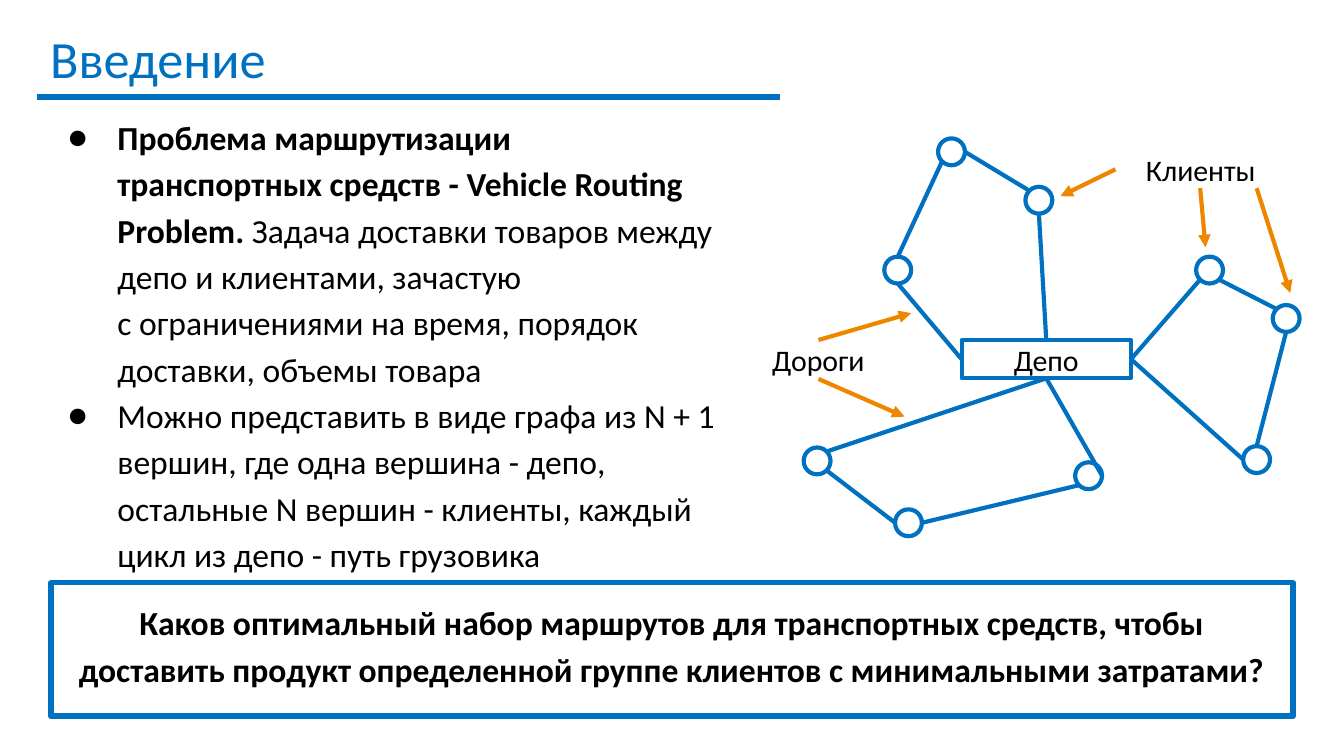
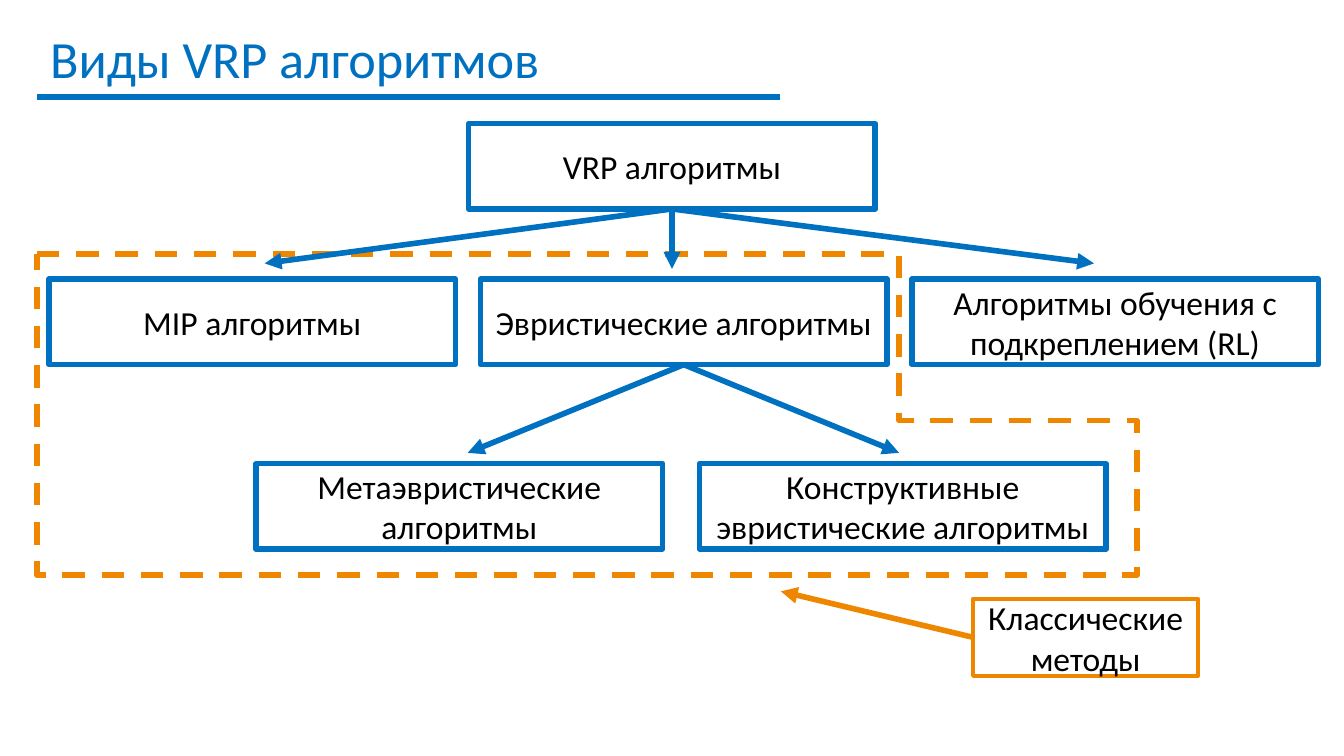
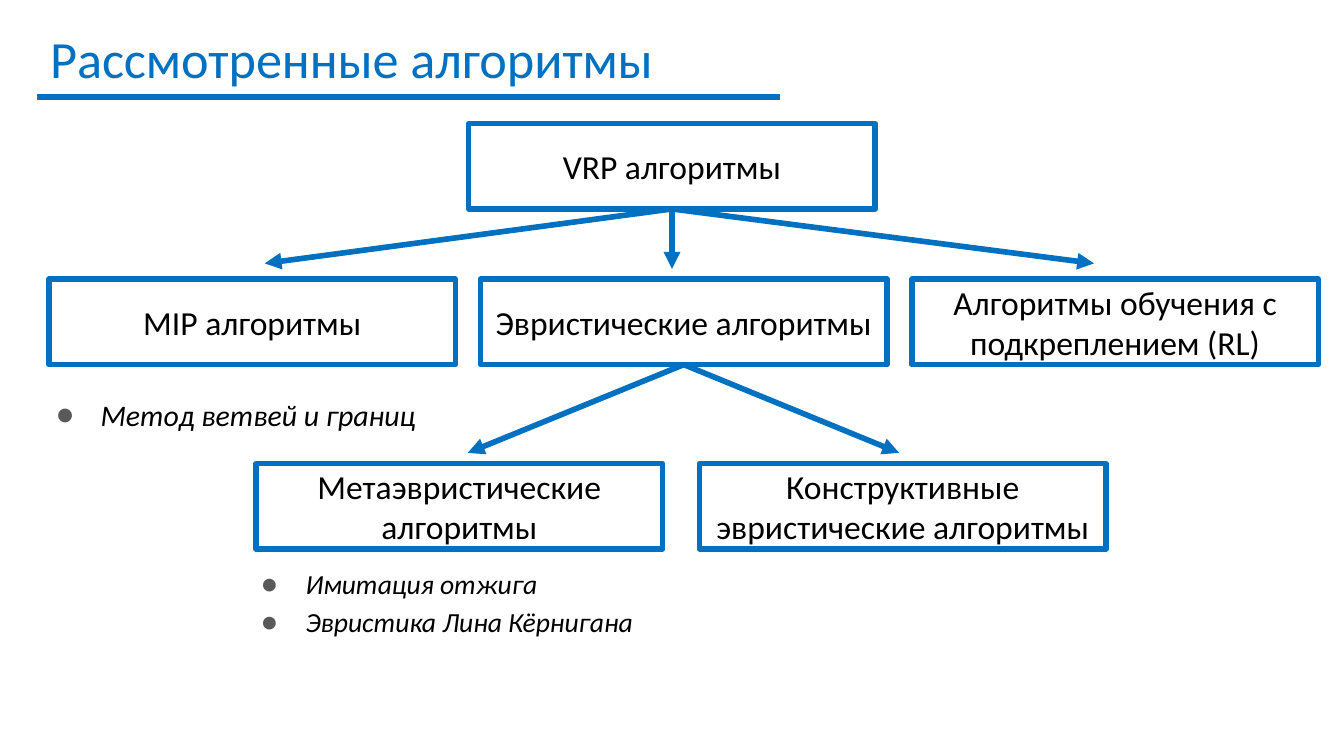
from lxml.etree import SubElement
from pptx import Presentation
from pptx.dml.color import RGBColor
from pptx.enum.dml import MSO_LINE
from pptx.enum.lang import MSO_LANGUAGE_ID as Language
from pptx.enum.shapes import MSO_CONNECTOR, MSO_SHAPE
from pptx.enum.text import MSO_ANCHOR as Anchor, PP_ALIGN as Align
from pptx.oxml.ns import qn
from pptx.util import Inches, Pt

COLUMNS, ROWS = 100, 56.25
CELL = Inches(10) / COLUMNS
FONT = "Calibri"
HARD_SPACE = chr(160)
BLUE, ORANGE, BLACK, WHITE, GRAY = "0070C0", "EF8600", "000000", "FFFFFF", "595959"
TOP, LEFT, BOTTOM, RIGHT = range(4)
MARGIN = 2.75
BOX_SIZE = (30.25, 6.35)
LABEL_SIZE = (12.6, 2.85)
RADIUS = 1
DIAGONAL = 0.7

CLIENTS = {
    "A": (66.8, 20.1), "B": (70.8, 11.3), "C": (77.3, 14.9),
    "D": (60.8, 34.3), "E": (67.6, 38.9), "F": (81, 35.4),
    "G": (90, 20.1), "H": (95.7, 23.7), "I": (93.5, 34.2),
}
COMPASS = {
    "n": (0, -1), "s": (0, 1), "w": (-1, 0), "e": (1, 0),
    "nw": (-DIAGONAL, -DIAGONAL), "ne": (DIAGONAL, -DIAGONAL),
    "sw": (-DIAGONAL, DIAGONAL), "se": (DIAGONAL, DIAGONAL),
}
DEPOT_ROADS = [
    (TOP, "C", "s"), (LEFT, "A", "s"), (BOTTOM, "D", "ne"),
    (BOTTOM, "F", "e"), (RIGHT, "G", "sw"), (RIGHT, "I", "w"),
]
CLIENT_ROADS = [
    ("A", "n", "B", "sw"), ("C", "nw", "B", "e"), ("E", "w", "D", "se"),
    ("F", "sw", "E", "e"), ("H", "nw", "G", "se"), ("H", "s", "I", "n"),
]
POINTERS = [
    ((83, 12.6), (78.9, 14.6)), ((89.3, 14), (89.7, 18.4)),
    ((93.5, 14), (96, 21.8)), ((60.9, 25.3), (67.8, 23.3)),
    ((60.9, 28.2), (67.3, 31)),
]
CLASSIC_OUTLINE = [(MARGIN, 18.9), (66.9, 18.9), (66.9, 31.3),
                   (84.6, 31.3), (84.6, 42.8), (MARGIN, 42.8)]


def rgb(color):
    return RGBColor.from_string(color)


def cells(*counts):
    """Turn grid cells into slide lengths."""
    return [round(count * CELL) for count in counts]


def set_line(line, color, width):
    line.color.rgb = rgb(color)
    line.width = Pt(width)


def add_run(paragraph, text, size, color=BLACK, bold=False, italic=False):
    run = paragraph.add_run()
    run.text = text
    font = run.font
    font.name, font.size, font.bold, font.italic = FONT, Pt(size), bold, italic
    font.language_id = Language.RUSSIAN
    font.color.rgb = rgb(color)


def add_text_area(slide, position, size):
    frame = slide.shapes.add_textbox(*cells(*position, *size)).text_frame
    frame.word_wrap = True
    frame.margin_top = frame.margin_bottom = Inches(0.1)
    return frame


def add_shape(slide, kind, position, size, line=BLUE, width=3, fill=WHITE):
    shape = slide.shapes.add_shape(kind, *cells(*position, *size))
    shape.shadow.inherit = False
    if fill:
        shape.fill.solid()
        shape.fill.fore_color.rgb = rgb(fill)
    else:
        shape.fill.background()
    if line:
        set_line(shape.line, line, width)
    else:
        shape.line.fill.background()
    return shape


def add_box(slide, text, position, size=BOX_SIZE, text_size=18, bold=False, **look):
    box = add_shape(slide, MSO_SHAPE.RECTANGLE, position, size, **look)
    box.text_frame.vertical_anchor = Anchor.MIDDLE
    paragraph = box.text_frame.paragraphs[0]
    paragraph.alignment = Align.CENTER
    add_run(paragraph, text, text_size, bold=bold)
    return box


def add_line(slide, start, end, color=BLUE, width=3, arrow=False, joined=None):
    """Draw a line; joined is the rectangle and side that it starts from."""
    line = slide.shapes.add_connector(MSO_CONNECTOR.STRAIGHT, *cells(*start, *end))
    if joined:
        line.begin_connect(*joined)
    set_line(line.line, color, width)
    if arrow:
        SubElement(line.line._get_or_add_ln(), qn("a:tailEnd"), type="triangle")
    SubElement(line._element.spPr, qn("a:effectLst"))


def add_bullets(slide, position, size, items, indent, bullet_color=BLACK):
    """Each item is a list of runs, and a run is its text and its font options."""
    frame = add_text_area(slide, position, size)
    for number, runs in enumerate(items):
        paragraph = frame.add_paragraph() if number else frame.paragraphs[0]
        paragraph.line_spacing = 1.15
        properties = paragraph._p.get_or_add_pPr()
        properties.set("marL", str(Inches(0.5)))
        properties.set("indent", str(-Inches(indent)))
        color = SubElement(properties, qn("a:buClr"))
        SubElement(color, qn("a:srgbClr"), val=bullet_color)
        SubElement(properties, qn("a:buFont"), typeface=FONT)
        SubElement(properties, qn("a:buChar"), char="●")
        for text, options in runs:
            add_run(paragraph, text, **options)


def add_titled_slide(deck, title):
    slide = deck.slides.add_slide(deck.slide_layouts[6])
    frame = add_text_area(slide, (MARGIN, 0.95), (91.4, 6.3))
    add_run(frame.paragraphs[0], title, 28, BLUE)
    add_line(slide, (MARGIN, 7.2), (58.05, 7.2))
    return slide


def client_edge(name, direction):
    return [center + RADIUS * step
            for center, step in zip(CLIENTS[name], COMPASS[direction])]


def add_route_graph(slide):
    depot = add_box(slide, "Депо", (71.55, 25.3), LABEL_SIZE, 16, width=2.25)
    for x, y in CLIENTS.values():
        add_shape(slide, MSO_SHAPE.OVAL, (x - RADIUS, y - RADIUS),
                  (2 * RADIUS, 2 * RADIUS), width=2.25)
    for side, client, direction in DEPOT_ROADS:
        end = client_edge(client, direction)
        add_line(slide, end, end, width=2.25, joined=(depot, side))
    for start, leaving, end, arriving in CLIENT_ROADS:
        add_line(slide, client_edge(start, leaving), client_edge(end, arriving),
                 width=2.25)
    for text, position in (("Клиенты", (83.05, 11.2)), ("Дороги", (54.6, 25.3))):
        add_box(slide, text, position, LABEL_SIZE, 16, line=None)
    for start, end in POINTERS:
        add_line(slide, start, end, ORANGE, 2.25, arrow=True)


def add_branches(slide, parent, tips):
    for tip in tips:
        add_line(slide, tip, tip, arrow=True, joined=(parent, BOTTOM))


def add_algorithm_tree(slide):
    root = add_box(slide, "VRP алгоритмы", ((COLUMNS - BOX_SIZE[0]) / 2, 9.2))
    families = ["MIP алгоритмы", "Эвристические алгоритмы",
                "Алгоритмы обучения с подкреплением (RL)"]
    _, heuristics, _ = [add_box(slide, text, (3.65 + 32.1 * column, 20.78))
                        for column, text in enumerate(families)]
    kinds = ["Метаэвристические алгоритмы", "Конструктивные эвристические алгоритмы"]
    for column, text in enumerate(kinds):
        add_box(slide, text, (19.05 + 33 * column, 34.5))
    add_branches(slide, root, [(19.7, 19.6), (50, 20), (81.4, 19.6)])
    add_branches(slide, heuristics, [(34.8, 33.7), (66.9, 33.7)])


def add_classic_outline(slide):
    first, *others = [cells(*corner) for corner in CLASSIC_OUTLINE]
    builder = slide.shapes.build_freeform(*first)
    builder.add_line_segments(others, close=True)
    outline = builder.convert_to_shape()
    outline.shadow.inherit = False
    outline.fill.background()
    set_line(outline.line, ORANGE, 3)
    outline.line.dash_style = MSO_LINE.DASH


def build_introduction(deck):
    slide = add_titled_slide(deck, "Введение")
    plain, strong = {"size": 18}, {"size": 18, "bold": True}
    add_bullets(slide, (MARGIN, 7.25), (51.8, 35.7), [
        [("Проблема маршрутизации транспортных средств - Vehicle Routing Problem.",
          strong),
         (f"{HARD_SPACE}Задача доставки товаров между депо и клиентами, зачастую "
          f"с{HARD_SPACE}ограничениями на время, порядок доставки, объемы товара",
          plain)],
        [("Можно представить в виде графа из N + 1 вершин, где одна вершина - депо, "
          "остальные N вершин - клиенты, каждый цикл из депо - путь грузовика", plain)],
    ], indent=0.37)
    question = add_box(
        slide, "Каков оптимальный набор маршрутов для транспортных средств, чтобы "
        "доставить продукт определенной группе клиентов с минимальными затратами?",
        (3.8, 43.35), (92.4, 9.95), bold=True, fill=None)
    question.text_frame.vertical_anchor = Anchor.TOP
    question.text_frame.margin_top = Inches(0.1)
    question.text_frame.paragraphs[0].line_spacing = 1.15
    add_route_graph(slide)


def build_algorithm_kinds(deck):
    slide = add_titled_slide(deck, "Виды VRP алгоритмов")
    add_classic_outline(slide)
    add_algorithm_tree(slide)
    classic = add_box(slide, "Классические методы", (72.4, 44.55), (16.75, 5.75),
                      line=ORANGE, width=2, fill=None)
    tip = (58.1, 44)
    add_line(slide, tip, tip, ORANGE, arrow=True, joined=(classic, LEFT))


def build_reviewed_algorithms(deck):
    slide = add_titled_slide(deck, "Рассмотренные алгоритмы")
    add_algorithm_tree(slide)
    for methods, position, size, text_size in (
        (["Метод ветвей и границ"], (1.5, 28.1), (32, 8.4), 16),
        (["Имитация отжига", "Эвристика Лина Кёрнигана"],
         (16.75, 40.85), (33.2, 8.4), 14.8),
    ):
        items = [[(method, {"size": text_size, "italic": True})] for method in methods]
        add_bullets(slide, position, size, items, 0.33, GRAY)


def main():
    deck = Presentation()
    deck.slide_width, deck.slide_height = cells(COLUMNS, ROWS)
    build_introduction(deck)
    build_algorithm_kinds(deck)
    build_reviewed_algorithms(deck)
    deck.save("out.pptx")


if __name__ == "__main__":
    main()
